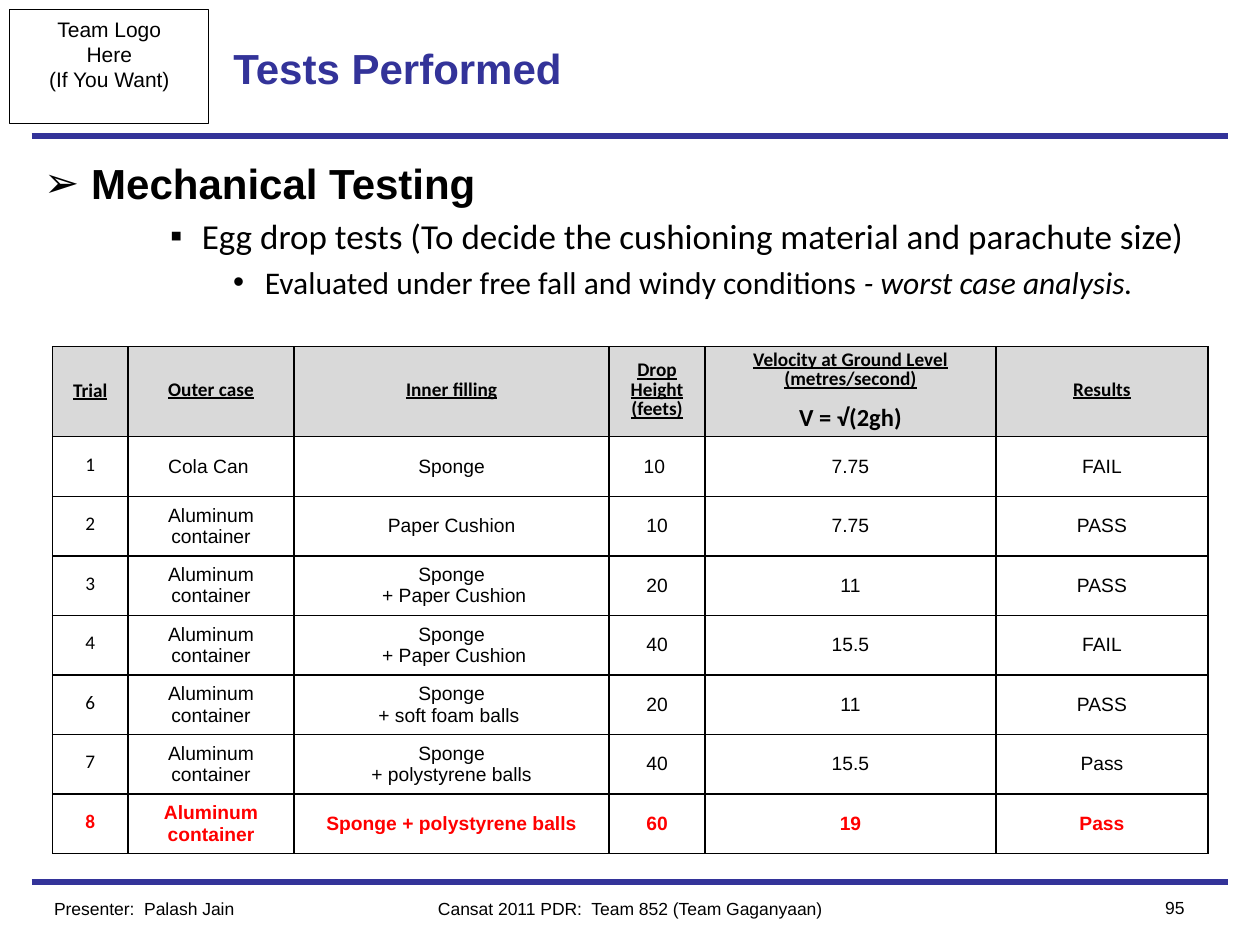
from typing import NamedTuple, Optional

from lxml.etree import SubElement
from pptx import Presentation
from pptx.dml.color import RGBColor
from pptx.enum.shapes import MSO_CONNECTOR as Link, MSO_SHAPE as Form
from pptx.enum.text import MSO_ANCHOR as Anchor, MSO_AUTO_SIZE as Fit, PP_ALIGN as Align
from pptx.oxml.ns import qn
from pptx.util import Cm, Pt

BLACK = RGBColor(0x00, 0x00, 0x00)
BLUE = RGBColor(0x33, 0x33, 0x99)
GREY = RGBColor(0xD9, 0xD9, 0xD9)
RED = RGBColor(0xFF, 0x00, 0x00)
ARIAL = "Arial"
CALIBRI = "Calibri"


class Box(NamedTuple):
    left: float
    top: float
    width: float
    height: float


class Note(NamedTuple):
    text: str
    box: Box
    align: Align


class Point(NamedTuple):
    text: str
    mark: str
    indent: float
    hang: float
    size: int
    font: str
    bold: bool
    before: float


class Trial(NamedTuple):
    number: str
    case: str
    filling: str
    height: str
    speed: str
    result: str


NOTES = (
    Note("Cansat 2011 PDR:  Team 852 (Team Gaganyaan)", Box(7.62, 17.98, 10.16, 0.69), Align.CENTER),
    Note("95", Box(22.23, 17.96, 1.9, 0.69), Align.RIGHT),
    Note("Presenter:  Palash Jain", Box(0.84, 17.98, 6.35, 0.69), Align.LEFT),
)
POINTS = (
    Point("Mechanical Testing", "➢", 0.95, 0.95, 24, ARIAL, True, 0),
    Point("Egg drop tests (To decide the cushioning material and parachute size)",
          "▪", 3.18, 0.64, 20, CALIBRI, False, 4),
    Point("Evaluated under free fall and windy conditions ", "•", 4.45, 0.64, 18, CALIBRI, False, 3.6),
)
HEADS = ("Trial", "Outer case", "Inner filling", "Drop Height (feets)",
         "Velocity at Ground Level (metres/second)", "Results")
METAL = "Aluminum container"
TRIALS = (
    Trial("1", "Cola Can ", "Sponge", "10 ", "7.75", "FAIL"),
    Trial("2", METAL, "Paper Cushion", "10", "7.75", "PASS"),
    Trial("3", METAL, "Sponge\n + Paper Cushion", "20", "11", "PASS"),
    Trial("4", METAL, "Sponge\n + Paper Cushion", "40", "15.5", "FAIL"),
    Trial("6", METAL, "Sponge\n+ soft foam balls ", "20", "11", "PASS"),
    Trial("7", METAL, "Sponge\n+ polystyrene balls", "40", "15.5", "Pass"),
    Trial("8", METAL, "Sponge + polystyrene balls", "60", "19", "Pass"),
)
WIDTHS = (1.52, 3.35, 6.35, 1.93, 5.87, 4.27)
HEAD_ROW = 1.8
TRIAL_ROW = 1.2


def write(frame, text: str, *, size: float = 11, font: str = ARIAL, color: RGBColor = BLACK,
          bold: bool = False, italic: bool = False, under: bool = False,
          align: Align = Align.LEFT, spacing: Optional[float] = None,
          before: float = 0, after: float = 0, join: bool = False):
    for line in text.split("\n"):
        par = frame.paragraphs[-1]
        if par.runs and not join:
            par = frame.add_paragraph()
        if not join:
            par.alignment = align
            par.space_before, par.space_after = Pt(before), Pt(after)
            if spacing:
                par.line_spacing = spacing
        run = par.add_run()
        run.text = line
        run.font.size, run.font.name = Pt(size), font
        run.font.bold, run.font.italic, run.font.underline = bold, italic, under
        run.font.color.rgb = color
    return par


def place(shape, box: Box) -> None:
    shape.left, shape.top, shape.width, shape.height = map(Cm, box)


def add_text(slide, box: Box):
    frame = slide.shapes.add_textbox(*map(Cm, box)).text_frame
    frame.word_wrap = True
    return frame


def add_rule(slide, y: float) -> None:
    rule = slide.shapes.add_connector(Link.STRAIGHT, Cm(0.64), Cm(y), Cm(24.76), Cm(y))
    rule.line.color.rgb, rule.line.width = BLUE, Pt(3)
    SubElement(rule._element.spPr, qn("a:effectLst"))


def add_logo(slide) -> None:
    logo = slide.shapes.add_shape(Form.RECTANGLE, *map(Cm, Box(0.2, 0.2, 4.01, 2.29)))
    logo.shadow.inherit = False
    logo.fill.background()
    logo.line.color.rgb, logo.line.width = BLACK, Pt(0.5)
    logo.text_frame.vertical_anchor = Anchor.TOP
    logo.text_frame.word_wrap = False
    write(logo.text_frame, "Team Logo\nHere\n(If You Want)", size=12, align=Align.CENTER)


def add_point(frame, point: Point) -> None:
    par = write(frame, point.text, size=point.size, font=point.font,
                bold=point.bold, before=point.before)
    props = par._p.get_or_add_pPr()
    props.set("marL", str(Cm(point.indent)))
    props.set("indent", str(-Cm(point.hang)))
    SubElement(props, qn("a:buFont"), typeface=ARIAL)
    SubElement(props, qn("a:buChar"), char=point.mark)


def edge(cell) -> None:
    props = cell._tc.get_or_add_tcPr()
    for side in ("lnL", "lnR", "lnT", "lnB"):
        line = SubElement(props, qn(f"a:{side}"), w=str(Pt(1)))
        fill = SubElement(line, qn("a:solidFill"))
        SubElement(fill, qn("a:srgbClr"), val=str(BLACK))


def style(cell, top: float, shade: Optional[RGBColor] = None):
    edge(cell)
    if shade is None:
        cell.fill.background()
    else:
        cell.fill.solid()
        cell.fill.fore_color.rgb = shade
    cell.vertical_anchor = Anchor.MIDDLE
    cell.margin_left = cell.margin_right = Cm(0.25)
    cell.margin_top, cell.margin_bottom = Cm(top), Cm(0.13)
    return cell.text_frame


def add_grid(slide) -> None:
    high = HEAD_ROW + TRIAL_ROW * len(TRIALS)
    box = Box(1.06, 6.99, sum(WIDTHS), high)
    grid = slide.shapes.add_table(len(TRIALS) + 1, len(WIDTHS), *map(Cm, box)).table
    grid.first_row = grid.horz_banding = False
    for col, width in zip(grid.columns, WIDTHS):
        col.width = Cm(width)
    for i, row in enumerate(grid.rows):
        row.height = Cm(TRIAL_ROW if i else HEAD_ROW)

    tight = dict(font=CALIBRI, align=Align.CENTER, spacing=0.82, after=10)
    for j, head in enumerate(HEADS):
        frame = style(grid.cell(0, j), 0.08, GREY)
        write(frame, head, bold=True, under=True, **tight)
        if head.startswith("Velocity"):
            write(frame, "V = √(2gh)", size=14, bold=True, **tight)
    grid.cell(0, 0).text_frame.paragraphs[0].line_spacing = 0.93

    for i, trial in enumerate(TRIALS, 1):
        last = trial is TRIALS[-1]
        tone = dict(color=RED if last else BLACK, bold=last)
        for j, text in enumerate(trial):
            frame = style(grid.cell(i, j), 0.13 if j else 0.08)
            form = dict(align=Align.CENTER) if j else tight
            write(frame, text, **form, **tone)


def main() -> None:
    deck = Presentation()
    deck.slide_width, deck.slide_height = Cm(25.4), Cm(19.05)
    slide = deck.slides.add_slide(deck.slide_layouts[5])
    for y in (17.78, 2.74):
        add_rule(slide, y)
    add_logo(slide)

    title = slide.shapes.title
    place(title, Box(4.45, 0.2, 16.51, 2.34))
    title.text_frame.auto_size = Fit.NONE
    title.text_frame.vertical_anchor = Anchor.MIDDLE
    write(title.text_frame, "Tests Performed", size=24, color=BLUE, bold=True)

    body = add_text(slide, Box(0.64, 3.05, 23.93, 3.53))
    for point in POINTS:
        add_point(body, point)
    write(body, "- worst case analysis.", size=18, font=CALIBRI, italic=True, join=True)

    add_grid(slide)
    for note in NOTES:
        write(add_text(slide, note.box), note.text, size=10, align=note.align)
    deck.save("out.pptx")


if __name__ == "__main__":
    main()
